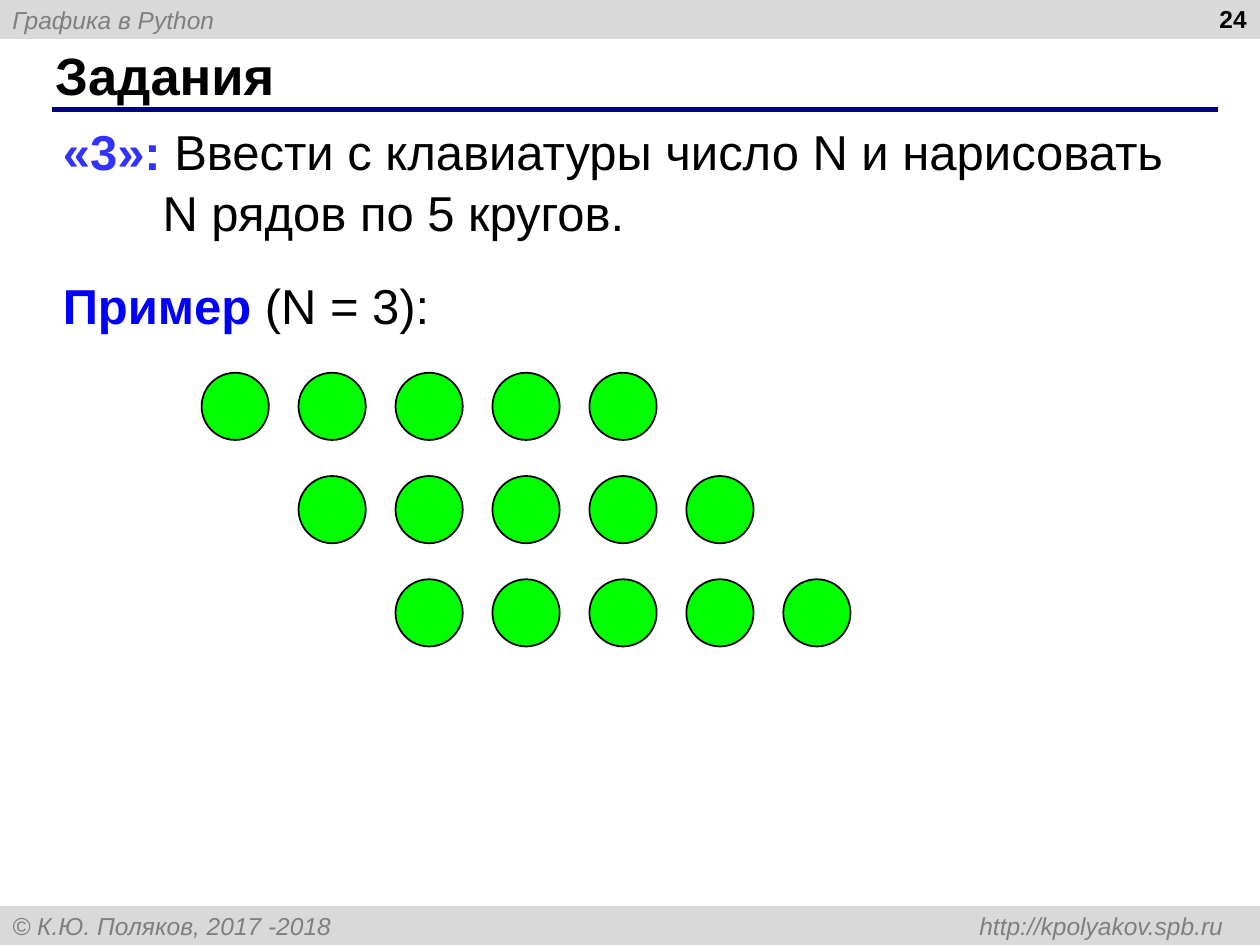
from lxml.etree import SubElement
from pptx import Presentation
from pptx.dml.color import RGBColor
from pptx.enum.shapes import MSO_CONNECTOR, MSO_SHAPE
from pptx.enum.text import MSO_ANCHOR, PP_ALIGN
from pptx.oxml.ns import qn
from pptx.util import Pt

# Content
HEADER = "Графика в Python"
FOOTER = "© К.Ю. Поляков, 2017 -2018\thttp://kpolyakov.spb.ru"
TITLE = "Задания"
PAGE_NUMBER = "24"
TASKS = [
    ("«3»: ", "task", "Ввести с клавиатуры число N и нарисовать N рядов по 5 кругов."),
    ("Пример", "example", " (N = 3):"),
]
CIRCLE_ROWS, CIRCLES_PER_ROW = 3, 5

THEME = {
    "font": "Arial",
    "band": "D9D9D9", "muted": "7F7F7F", "rule": "000080", "ink": "000000",
    "task": "3333FF", "example": "0000FF", "circle": "00FF00",
    "small": 14, "heading": 30, "body": 28,
}

# Layout in points
WIDTH, HEIGHT = 720, 540
BAND_HEIGHT = 22.3
FOOTER_TAB = 692
HANGING = 57
DIAMETER = 38.4
FIRST_LEFT, FIRST_TOP = 115.2, 213
STEP_ACROSS, STEP_DOWN = 55.4, 59


def color(name):
    return RGBColor.from_string(THEME[name])


def style(font, size, ink="ink", bold=False, italic=False):
    font.name, font.size = THEME["font"], Pt(THEME[size])
    font.bold, font.italic = bold, italic
    font.color.rgb = color(ink)


def add_box(page, left, top, width, height, anchor=MSO_ANCHOR.TOP):
    box = page.shapes.add_textbox(Pt(left), Pt(top), Pt(width), Pt(height))
    box.text_frame.word_wrap = True
    box.text_frame.vertical_anchor = anchor
    return box.text_frame


def add_shape(page, kind, left, top, width, height, fill):
    shape = page.shapes.add_shape(kind, Pt(left), Pt(top), Pt(width), Pt(height))
    shape.shadow.inherit = False
    shape.fill.solid()
    shape.fill.fore_color.rgb = color(fill)
    return shape


def add_band(page, top, text, tab=None):
    band = add_shape(page, MSO_SHAPE.RECTANGLE, 0, top, WIDTH, BAND_HEIGHT, "band")
    band.line.fill.background()
    band.text_frame.vertical_anchor = MSO_ANCHOR.MIDDLE
    para = band.text_frame.paragraphs[0]
    para.text = text
    para.alignment = PP_ALIGN.LEFT
    if tab:
        tabs = SubElement(para._p.get_or_add_pPr(), qn("a:tabLst"))
        SubElement(tabs, qn("a:tab"), pos=str(Pt(tab)), algn="r")
    style(para.font, "small", "muted", italic=True)


def add_line_of_text(frame, text, size, alignment=PP_ALIGN.LEFT):
    para = frame.paragraphs[0]
    para.text, para.alignment = text, alignment
    style(para.font, size, bold=True)


deck = Presentation()
deck.slide_width, deck.slide_height = Pt(WIDTH), Pt(HEIGHT)
page = deck.slides.add_slide(deck.slide_layouts[6])

# Header and footer bands
add_band(page, 0, HEADER)
add_band(page, HEIGHT - BAND_HEIGHT, FOOTER, FOOTER_TAB)

# Rule under the title
rule = page.shapes.add_connector(MSO_CONNECTOR.STRAIGHT, Pt(29.6), Pt(62.6), Pt(696), Pt(62.6))
rule.line.color.rgb = color("rule")
rule.line.width = Pt(3)
SubElement(rule._element.spPr, qn("a:effectLst"))

# Title and page number
add_line_of_text(add_box(page, 24.5, 23.8, 659.5, 37.4, MSO_ANCHOR.MIDDLE), TITLE, "heading")
add_line_of_text(add_box(page, 551.5, -1.4, 168, 37.4), PAGE_NUMBER, "small", PP_ALIGN.RIGHT)

# Task text with hanging indent
frame = add_box(page, 28.8, 64, 663, 263.5)
for index, (label, ink, text) in enumerate(TASKS):
    para = frame.add_paragraph() if index else frame.paragraphs[0]
    para.space_before = Pt(17.5 if index else 0)
    para.line_spacing = 1.05
    properties = para._p.get_or_add_pPr()
    properties.set("marL", str(Pt(HANGING)))
    properties.set("indent", str(-Pt(HANGING)))
    for words, tint, bold in ((label, ink, True), (text, "ink", False)):
        span = para.add_run()
        span.text = words
        style(span.font, "body", tint, bold)

# Circles: each row starts one step further right
for row in range(CIRCLE_ROWS):
    for column in range(CIRCLES_PER_ROW):
        circle = add_shape(page, MSO_SHAPE.OVAL,
                           FIRST_LEFT + (row + column) * STEP_ACROSS,
                           FIRST_TOP + row * STEP_DOWN,
                           DIAMETER, DIAMETER, "circle")
        circle.line.color.rgb = color("ink")
        circle.line.width = Pt(1)

deck.save("out.pptx")
